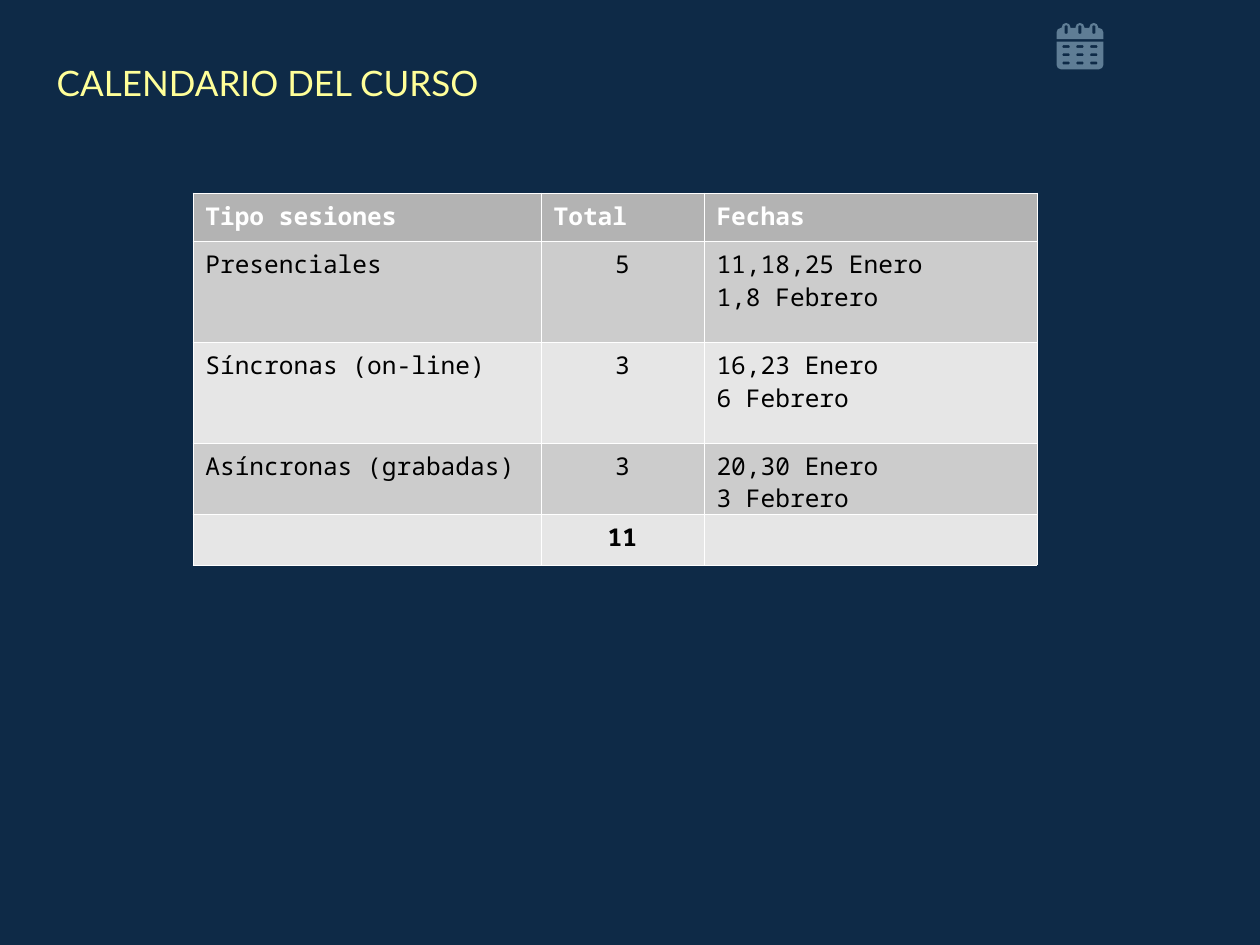
from dataclasses import dataclass
from math import cos, radians, sin

from lxml.etree import SubElement
from pptx import Presentation
from pptx.dml.color import RGBColor
from pptx.enum.text import MSO_ANCHOR, MSO_AUTO_SIZE, PP_ALIGN
from pptx.oxml.ns import qn
from pptx.util import Emu, Inches, Pt

# The slide is a grid of 100 columns by 75 rows, each 0.1 inch
COLUMNS, ROWS = 100, 75
UNIT = Inches(0.1)
Point = tuple[float, float]


@dataclass
class Session:
    cells: tuple[str, str, str]
    height: float
    fill: str
    color: str = "000000"
    bold: bool = False
    bottom_inset: float = 0.5
    second_line_spacing: float = 1.0


COLUMN_WIDTHS = (27.64, 12.93, 26.45)
SESSIONS = (
    Session(("Tipo sesiones", "Total", "Fechas"), 3.8, "B3B3B3", "FFFFFF", True),
    Session(("Presenciales", "5", "11,18,25 Enero\n1,8 Febrero"), 8.03, "CCCCCC"),
    Session(("Síncronas (on-line)", "3", "16,23 Enero\n6 Febrero"), 8.03, "E6E6E6"),
    Session(("Asíncronas (grabadas)", "3", "20,30 Enero\n3 Febrero"), 5.6,
            "CCCCCC", bottom_inset=0, second_line_spacing=0.94),
    Session(("", "11", ""), 4, "E6E6E6", bold=True),
)


def grid(units: float) -> Emu:
    return Emu(round(units * UNIT))


def hex_color(value: str) -> RGBColor:
    return RGBColor.from_string(value)


def add_span(para, text: str, font: str, size: float, color: str, bold: bool = False) -> None:
    span = para.add_run()
    span.text = text
    span.font.name, span.font.size, span.font.bold = font, Pt(size), bold
    span.font.color.rgb = hex_color(color)


def add_title(page, text: str) -> None:
    box = page.shapes.title
    box.left, box.top, box.width, box.height = map(grid, (3.5, 4.4, 69, 4.3))
    frame = box.text_frame
    frame.word_wrap = True
    frame.auto_size = MSO_AUTO_SIZE.NONE
    frame.vertical_anchor = MSO_ANCHOR.TOP
    para = frame.paragraphs[0]
    para.alignment = PP_ALIGN.LEFT
    add_span(para, text, "Lato", 20, "FFFF99")


def add_borders(cell, color: str, width: float) -> None:
    properties = cell._tc.get_or_add_tcPr()
    for side in ("a:lnL", "a:lnR", "a:lnT", "a:lnB"):
        line = SubElement(properties, qn(side), w=str(Pt(width)))
        SubElement(SubElement(line, qn("a:solidFill")), qn("a:srgbClr"), val=color)


def fill_cell(cell, text: str, session: Session, centred: bool) -> None:
    add_borders(cell, "FFFFFF", 0.06)
    cell.fill.solid()
    cell.fill.fore_color.rgb = hex_color(session.fill)
    cell.margin_bottom = grid(session.bottom_inset)
    frame = cell.text_frame
    for index, line in enumerate(text.split("\n") if text else ()):
        para = frame.add_paragraph() if index else frame.paragraphs[0]
        para.alignment = PP_ALIGN.CENTER if centred else PP_ALIGN.LEFT
        if index:
            para.line_spacing = session.second_line_spacing
        add_span(para, line, "Noto Sans Mono", 14, session.color, session.bold)


def add_schedule(page) -> None:
    height = sum(session.height for session in SESSIONS)
    table = page.shapes.add_table(
        len(SESSIONS), len(COLUMN_WIDTHS), grid(15.3), grid(15.3),
        grid(sum(COLUMN_WIDTHS)), grid(height)).table
    for column, width in zip(table.columns, COLUMN_WIDTHS):
        column.width = grid(width)
    for row, session in enumerate(SESSIONS):
        table.rows[row].height = grid(session.height)
        for column, text in enumerate(session.cells):
            fill_cell(table.cell(row, column), text, session, row > 0 and column == 1)


def arc(x: float, y: float, radius: float, start: int, end: int) -> list[Point]:
    return [(x + radius * cos(radians(angle)), y + radius * sin(radians(angle)))
            for angle in range(start, end + 1, 45)]


def bar(x: float, y: float, width: float, height: float) -> list[Point]:
    """Outline of a bar with pointed ends, centred on x, y."""
    dx, dy = width / 2, height / 2
    if width > height:
        end = dx - dy / 2
        return [(x - dx, y), (x - end, y - dy), (x + end, y - dy),
                (x + dx, y), (x + end, y + dy), (x - end, y + dy)]
    return [(across, down) for down, across in bar(y, x, height, width)]


def add_outline(shapes, contours: list[list[Point]], color: str) -> None:
    builder = None
    for contour in contours:
        points = [(grid(x), grid(y)) for x, y in contour]
        if builder is None:
            builder = shapes.build_freeform(*points[0], scale=1.0)
        else:
            builder.move_to(*points[0])
        builder.add_line_segments(points[1:], close=True)
    shape = builder.convert_to_shape()
    shape.shadow.inherit = False
    shape.fill.solid()
    shape.fill.fore_color.rgb = hex_color(color)
    shape.line.fill.background()


def add_calendar(page, color: str) -> None:
    left, right, corner = 83.85, 87.57, 0.35
    rings = [84.61 + 1.1 * index for index in range(3)]
    days = [3.7 + 0.65 * index for index in range(3)]
    shapes = page.shapes.add_group_shape().shapes

    # Sheet with a grid of day slots
    sheet = [(left, 3.3), (right, 3.3),
             *arc(right - corner, 5.5 - corner, corner, 0, 90),
             *arc(left + corner, 5.5 - corner, corner, 90, 180)]
    slots = [bar(x, y, 0.6, 0.22) for y in days for x in rings]
    add_outline(shapes, [sheet, *slots], color)

    # Header with binder rings
    header = [(left, 3.1), *arc(left + corner, 2.22 + corner, corner, 180, 270)]
    for x in rings:
        header += [(x - 0.35, 2.22), *arc(x, 2.17, 0.35, 180, 360), (x + 0.35, 2.22)]
    header += [*arc(right - corner, 2.22 + corner, corner, 270, 360), (right, 3.1)]
    add_outline(shapes, [header, *(bar(x, 2.35, 0.24, 0.7) for x in rings)], color)


def main() -> None:
    deck = Presentation()
    deck.slide_width, deck.slide_height = grid(COLUMNS), grid(ROWS)
    page = deck.slides.add_slide(deck.slide_layouts[5])
    page.background.fill.solid()
    page.background.fill.fore_color.rgb = hex_color("0E2A47")
    add_title(page, "CALENDARIO DEL CURSO")
    add_calendar(page, "5F7D95")
    add_schedule(page)
    deck.save("out.pptx")


if __name__ == "__main__":
    main()
